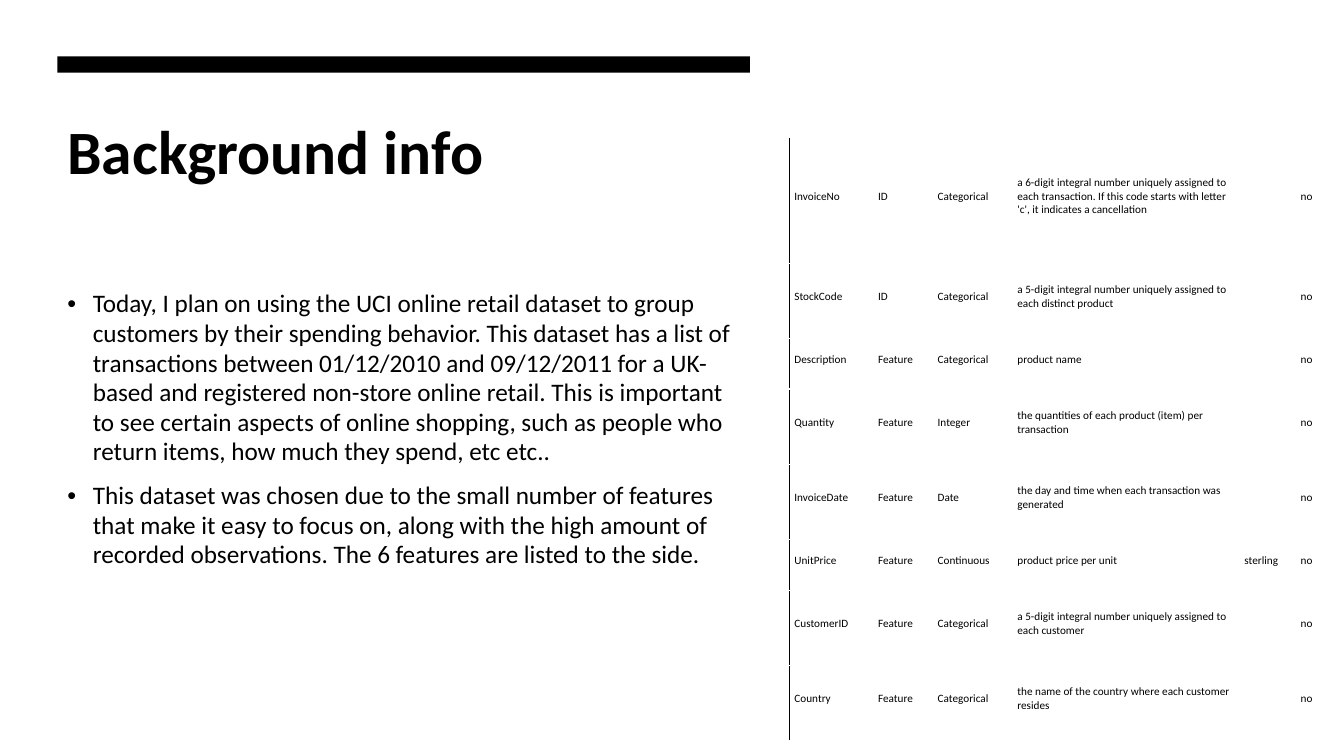
from lxml.etree import SubElement
from pptx import Presentation
from pptx.dml.color import RGBColor
from pptx.enum.shapes import MSO_SHAPE
from pptx.enum.text import MSO_ANCHOR
from pptx.oxml import parse_xml
from pptx.oxml.ns import nsdecls, qn
from pptx.util import Cm, Pt

FONT = "Calibri"
BLACK = "000000"
LEFT, WIDTH = 1.45, 17.45

POINTS = [
    "Today, I plan on using the UCI online retail dataset to group customers by "
    "their spending behavior. This dataset has a list of transactions between "
    "01/12/2010 and 09/12/2011 for a UK-based and registered non-store online "
    "retail. This is important to see certain aspects of online shopping, such as "
    "people who return items, how much they spend, etc etc..",
    "This dataset was chosen due to the small number of features that make it easy "
    "to focus on, along with the high amount of recorded observations. The 6 "
    "features are listed to the side.",
]

COLUMN_WIDTHS = [2.11, 1.5, 2.01, 5.72, 1.42, 0.76]
FEATURES = [
    (3.15, "InvoiceNo", "ID", "Categorical",
     "a 6-digit integral number uniquely assigned to each transaction. "
     "If this code starts with letter 'c', it indicates a cancellation", "", "no"),
    (1.9, "StockCode", "ID", "Categorical",
     "a 5-digit integral number uniquely assigned to each distinct product", "", "no"),
    (1.27, "Description", "Feature", "Categorical", "product name", "", "no"),
    (1.9, "Quantity", "Feature", "Integer",
     "the quantities of each product (item) per transaction", "", "no"),
    (1.9, "InvoiceDate", "Feature", "Date",
     "the day and time when each transaction was generated", "", "no"),
    (1.27, "UnitPrice", "Feature", "Continuous",
     "product price per unit", "sterling", "no"),
    (1.9, "CustomerID", "Feature", "Categorical",
     "a 5-digit integral number uniquely assigned to each customer", "", "no"),
    (1.9, "Country", "Feature", "Categorical",
     "the name of the country where each customer resides", "", "no"),
]


def color(hex_code):
    return RGBColor.from_string(hex_code)


def write(paragraph, text, size, bold=False, bullet=False, before=0, spacing=1.0):
    paragraph.space_before = Pt(before)
    paragraph.line_spacing = spacing
    if bullet:
        properties = paragraph._p.get_or_add_pPr()
        properties.set("marL", str(Cm(0.64)))
        properties.set("indent", str(-Cm(0.64)))
        SubElement(properties, qn("a:buFont"), typeface="Arial")
        SubElement(properties, qn("a:buChar"), char="•")
    run = paragraph.add_run()
    run.text = text
    run.font.name = FONT
    run.font.size = Pt(size)
    run.font.bold = bold
    run.font.color.rgb = color(BLACK)


def add_text(slide, top, height, texts, **text_format):
    frame = slide.shapes.add_textbox(Cm(LEFT), Cm(top), Cm(WIDTH), Cm(height)).text_frame
    frame.word_wrap = True
    for index, text in enumerate(texts):
        paragraph = frame.add_paragraph() if index else frame.paragraphs[0]
        write(paragraph, text, **text_format)


def add_bar(slide, top, height):
    bar = slide.shapes.add_shape(
        MSO_SHAPE.RECTANGLE, Cm(LEFT), Cm(top), Cm(WIDTH), Cm(height))
    bar.shadow.inherit = False
    bar.fill.solid()
    bar.fill.fore_color.rgb = color(BLACK)
    bar.line.fill.background()


def add_left_border(cell):
    border = parse_xml(
        f'<a:lnL {nsdecls("a")} w="{Pt(0.75)}"><a:solidFill>'
        f'<a:srgbClr val="{BLACK}"/></a:solidFill></a:lnL>')
    cell._tc.get_or_add_tcPr().insert(0, border)


def fill_cell(cell, text):
    cell.fill.background()
    cell.vertical_anchor = MSO_ANCHOR.MIDDLE
    cell.margin_left, cell.margin_right = Cm(0.13), Cm(0.03)
    cell.margin_top, cell.margin_bottom = Cm(0.03), Cm(0.25)
    if text:
        write(cell.text_frame.paragraphs[0], text, size=8)


def add_feature_table(slide, left, top):
    heights = [feature[0] for feature in FEATURES]
    table = slide.shapes.add_table(
        len(FEATURES), len(COLUMN_WIDTHS), Cm(left), Cm(top),
        Cm(sum(COLUMN_WIDTHS)), Cm(sum(heights))).table
    table.first_row = False
    table.horz_banding = False
    for column, width in zip(table.columns, COLUMN_WIDTHS):
        column.width = Cm(width)
    for row, (height, *texts) in zip(table.rows, FEATURES):
        row.height = Cm(height)
        for cell, text in zip(row.cells, texts):
            fill_cell(cell, text)
        add_left_border(row.cells[0])


def main():
    presentation = Presentation()
    presentation.slide_width, presentation.slide_height = Cm(33.87), Cm(19.05)
    slide = presentation.slides.add_slide(presentation.slide_layouts[6])
    add_text(slide, 2.72, 4.06, ["Background info"], size=44, bold=True)
    add_bar(slide, 1.42, 0.41)
    add_text(slide, 7.16, 10.46, POINTS, size=18, bullet=True, before=10, spacing=0.98)
    add_feature_table(slide, 19.89, 3.48)
    presentation.save("out.pptx")


if __name__ == "__main__":
    main()
